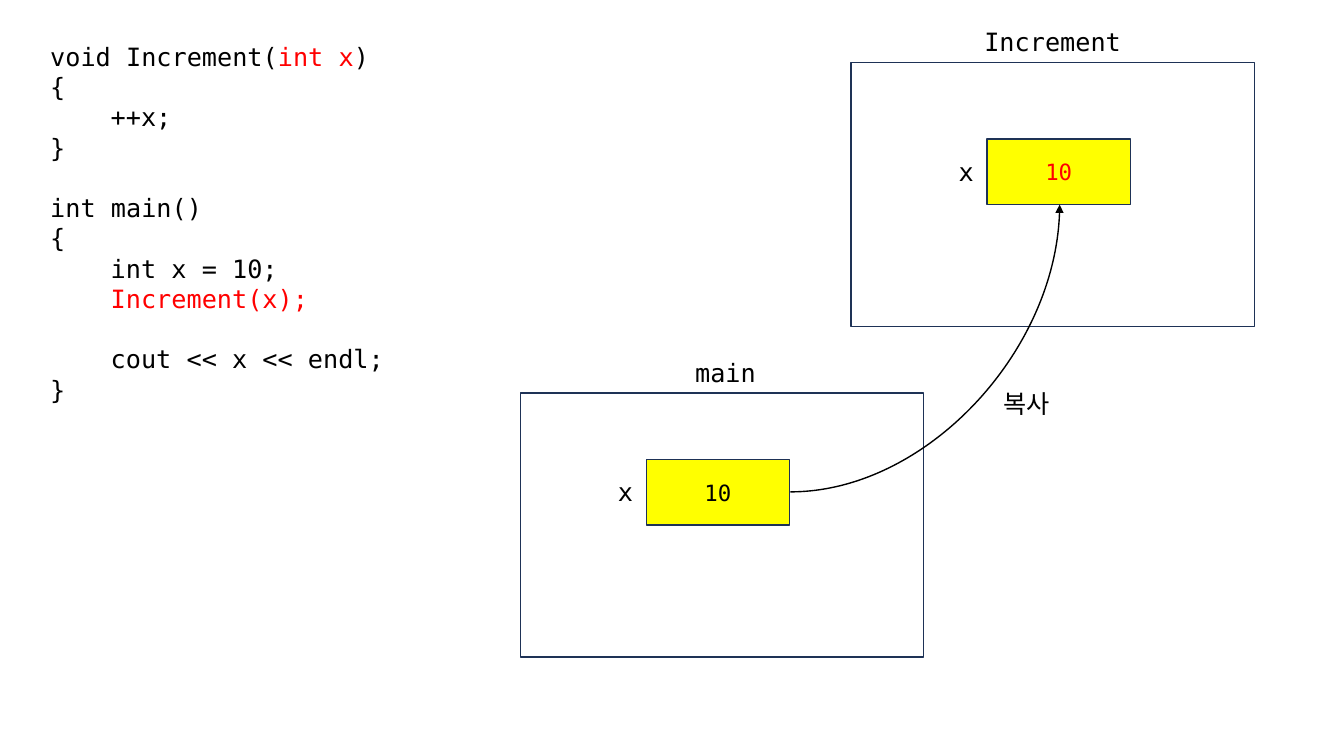
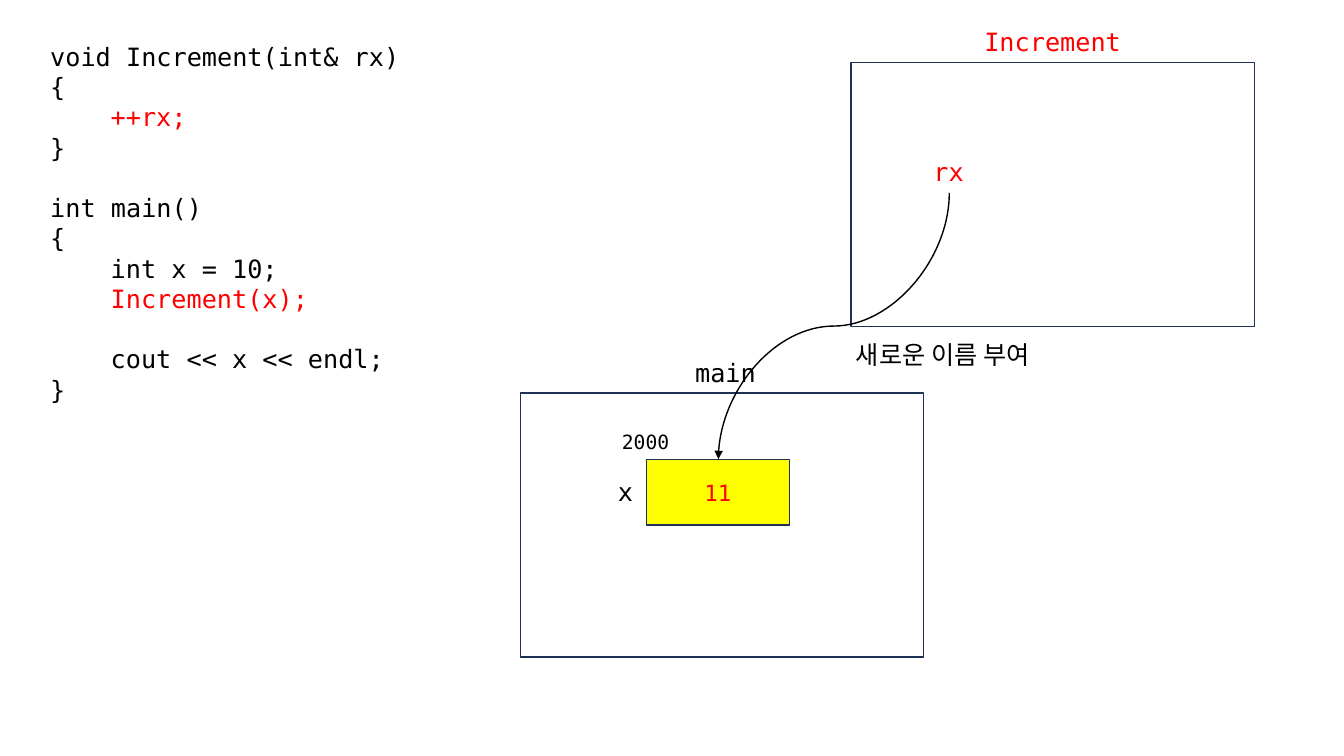
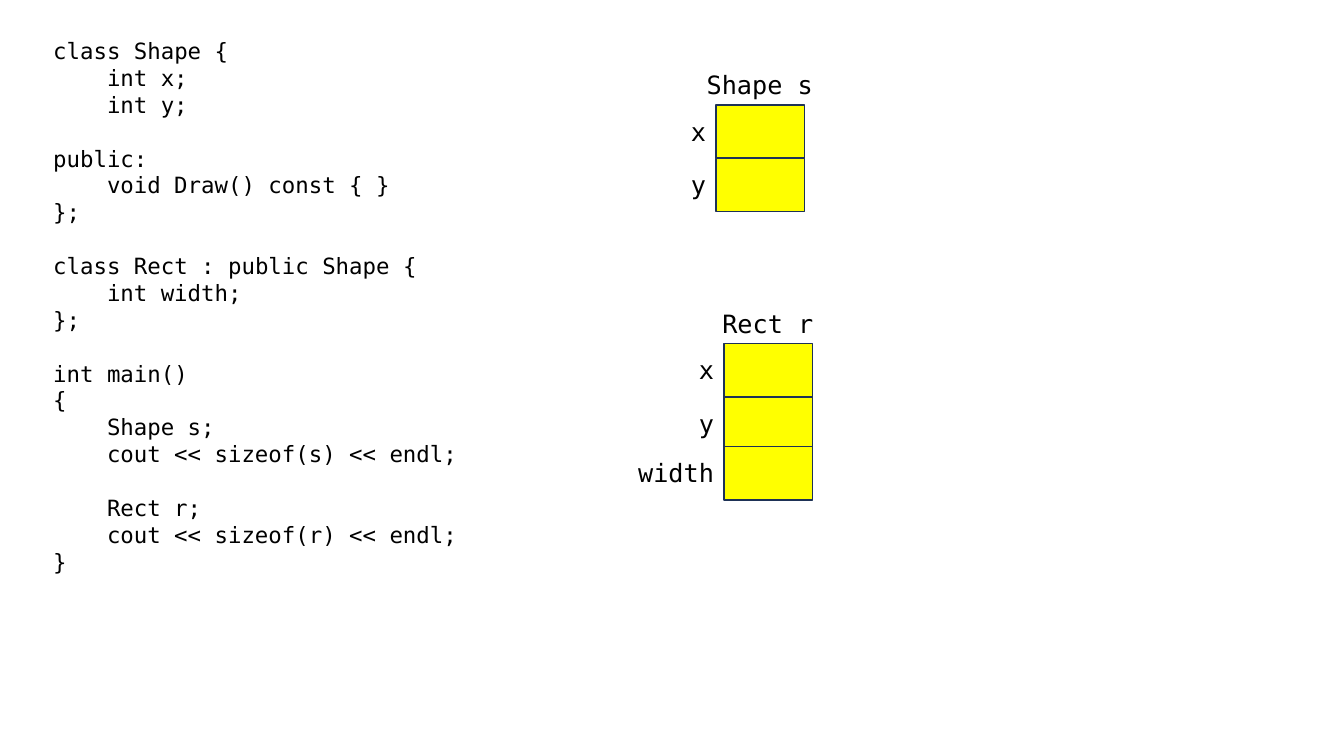
from lxml import etree
from pptx import Presentation
from pptx.dml.color import RGBColor
from pptx.enum.shapes import MSO_CONNECTOR, MSO_SHAPE
from pptx.enum.text import MSO_ANCHOR, MSO_AUTO_SIZE, PP_ALIGN
from pptx.oxml.ns import qn
from pptx.util import Inches, Pt

FONT = "DejaVu Sans Mono"
BLACK, RED, YELLOW, WHITE, NAVY = "000000", "FF0000", "FFFF00", "FFFFFF", "1E3256"
LEFT, CENTER, RIGHT = PP_ALIGN.LEFT, PP_ALIGN.CENTER, PP_ALIGN.RIGHT
LINE_HEIGHT = 1.2
CHAR_WIDTH = 0.6

deck = Presentation()
deck.slide_width, deck.slide_height = Inches(13.33), Inches(7.5)
blank = deck.slide_layouts[6]


def add_block(page, at, text="", size=18, align=LEFT, fill=None):
    """Add a filled rectangle, or a text box without fill; text between bars is red."""
    place = [Inches(value) for value in at]
    if fill:
        block = page.shapes.add_shape(MSO_SHAPE.RECTANGLE, *place)
        block.shadow.inherit = False
        block.fill.solid()
        block.fill.fore_color.rgb = RGBColor.from_string(fill)
        block.line.color.rgb = RGBColor.from_string(NAVY)
        block.line.width = Pt(1)
        block.text_frame.vertical_anchor = MSO_ANCHOR.MIDDLE
    else:
        block = page.shapes.add_textbox(*place)
        block.text_frame.auto_size = MSO_AUTO_SIZE.SHAPE_TO_FIT_TEXT
    frame = block.text_frame
    frame.word_wrap = True
    para, gap = frame.paragraphs[0], 0
    for number, line in enumerate(text.splitlines()):
        if not line:
            gap = size * LINE_HEIGHT
            continue
        if number:
            para = frame.add_paragraph()
        para.alignment = align
        para.space_before, gap = Pt(gap), 0
        code = line.lstrip()
        indent = (len(line) - len(code)) * size * CHAR_WIDTH
        if indent:
            para._p.get_or_add_pPr().set("marL", str(Pt(indent)))
        for index, part in enumerate(code.split("|")):
            if part:
                span = para.add_run()
                span.text = part
                span.font.name = FONT
                span.font.size = Pt(size)
                span.font.color.rgb = RGBColor.from_string(RED if index % 2 else BLACK)


def add_arrow(page, start, end, preset, turn=0):
    """Add a curved arrow, turned clockwise by whole degrees."""
    arrow = page.shapes.add_connector(
        MSO_CONNECTOR.CURVE, *[Inches(value) for value in (*start, *end)])
    arrow.line.color.rgb = RGBColor.from_string(BLACK)
    arrow.line.width = Pt(1)
    properties = arrow._element.spPr
    properties.find(qn("a:prstGeom")).set("prst", preset)
    if turn:
        properties.find(qn("a:xfrm")).set("rot", str(turn * 60000))
    etree.SubElement(arrow.line._get_or_add_ln(), qn("a:tailEnd"), type="triangle")
    etree.SubElement(properties, qn("a:effectLst"))


MAIN_CODE = """

int main()
{
    int x = 10;
    |Increment(x);|

    cout << x << endl;
}"""

# Calls by value and by reference: code, title and value of each frame
calls = [
    ("void Increment(|int x|)\n{\n    ++x;\n}", "Increment", "10"),
    ("void Increment(int& rx)\n{\n    |++rx;|\n}", "|Increment|", "|11|"),
]
call_pages = []
for function_code, title, value in calls:
    page = deck.slides.add_slide(blank)
    add_block(page, (5.16, 3.9, 4, 2.62), fill=WHITE)
    add_block(page, (0.4, 0.36, 6.67, 3.74), function_code + MAIN_CODE)
    add_block(page, (6.41, 4.56, 1.42, 0.65), value, 16, CENTER, YELLOW)
    add_block(page, (6.03, 4.68, 0.38, 0.4), "x")
    add_block(page, (6.55, 3.5, 1.29, 0.4), "main", align=CENTER)
    add_block(page, (8.44, 0.62, 4, 2.62), fill=WHITE)
    add_block(page, (9.64, 0.21, 1.6, 0.4), title, align=CENTER)
    call_pages.append(page)
by_value, by_reference = call_pages

add_block(by_value, (9.79, 1.38, 1.42, 0.65), "|10|", 16, CENTER, YELLOW)
add_block(by_value, (9.41, 1.5, 0.38, 0.4), "x")
add_arrow(by_value, (7.84, 4.88), (10.51, 2.03), "curvedConnector2")
add_block(by_value, (9.54, 3.8, 1.29, 0.4), "복사", align=CENTER)

add_block(by_reference, (6.07, 4.22, 0.95, 0.34), "2000", 14)
add_block(by_reference, (9.16, 1.5, 0.63, 0.4), "|rx|")
add_arrow(by_reference, (6.95, 2.09), (9.59, 4.38), "curvedConnector3", 90)
add_block(by_reference, (8.17, 3.32, 2.36, 0.4), "새로운 이름 부여", align=CENTER)

# Memory layout of a base class and a derived class
layout_page = deck.slides.add_slide(blank)
CLASS_CODE = """class Shape {
    int x;
    int y;

public:
    void Draw() const { }
};

class Rect : public Shape {
    int width;
};

int main()
{
    Shape s;
    cout << sizeof(s) << endl;

    Rect r;
    cout << sizeof(r) << endl;
}"""
add_block(layout_page, (0.43, 0.32, 6.67, 5.49), CLASS_CODE, 16)

objects = [
    ("Shape s", 7.1, 1.04, [("x", 0), ("y", 0.53)]),
    ("Rect r", 7.18, 3.41, [("x", 0), ("y", 0.53), ("width", 1.02)]),
]
for name, left, top, members in objects:
    add_block(layout_page, (left - 0.54, top - 0.4, 1.95, 0.4), name, align=CENTER)
    for member, offset in members:
        add_block(layout_page, (left, top + offset, 0.88, 0.53), fill=YELLOW)
        add_block(layout_page, (left - 1.46, top + offset + 0.06, 1.46, 0.4),
                  member, align=RIGHT)

deck.save("out.pptx")
